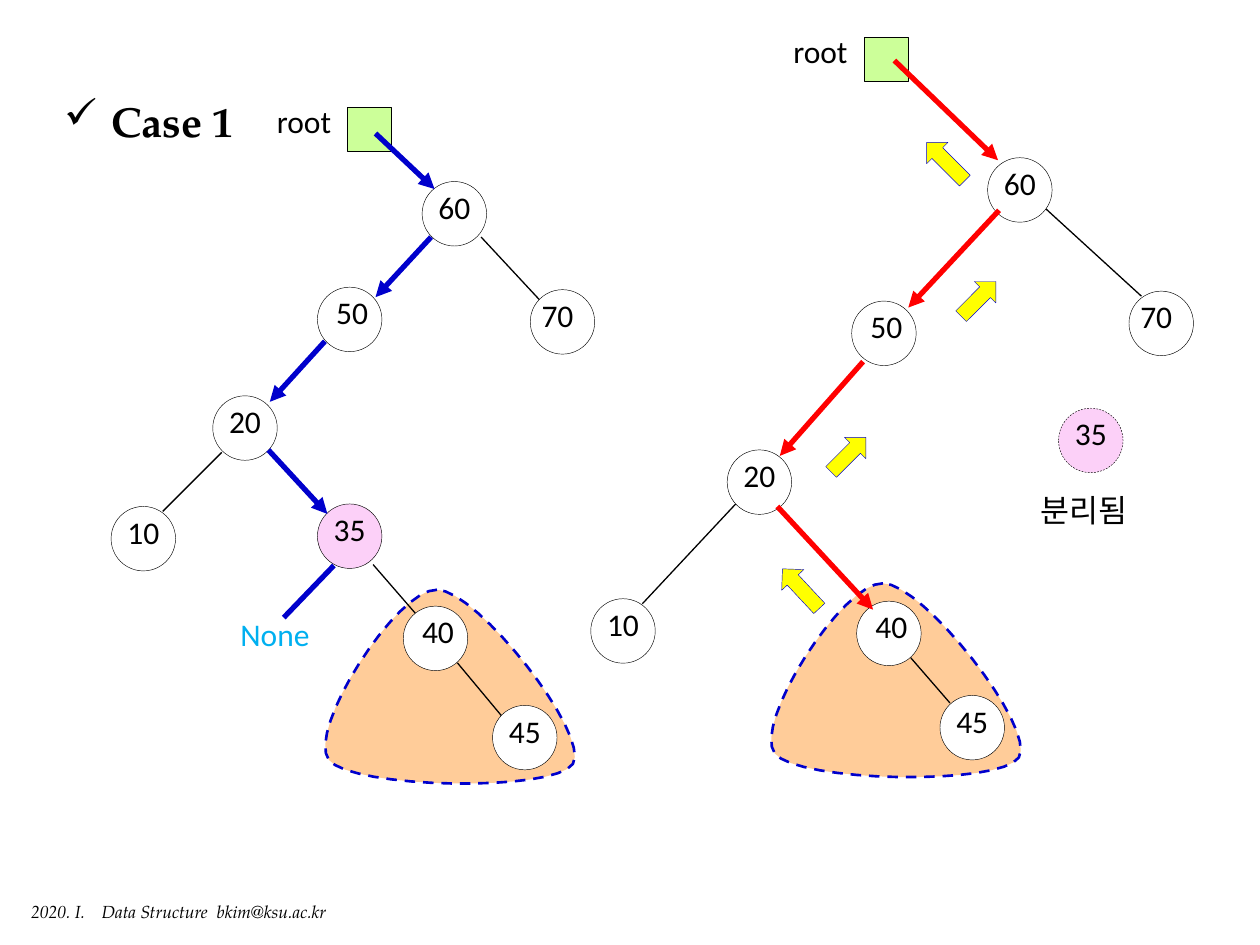
from lxml import etree
from pptx import Presentation
from pptx import util as u
from pptx.dml.color import RGBColor
from pptx.enum import dml, shapes, text
from pptx.oxml import ns

COLORS = {"black": "000000", "white": "FFFFFF", "blue": "0000CC", "red": "FF0000",
          "pink": "FCD0F8", "green": "CCFF99", "orange": "FFCC99",
          "yellow": "FFFF00", "cyan": "00B0F0"}
SANS, SERIF = "Calibri", "TeX Gyre Pagella"
NODE, ROOT, LABEL_WIDTH, LABEL_HEIGHT = 1.3, 0.89, 1.5, 1.02
LABEL_SHIFT = {"40": 0.05, "50": 0.05, "70": -0.1}
SUBTREE_START = (2.26, 0)
SUBTREE_CURVES = [
    ((1.45, -0.03), (-0.38, 2.84), (0.08, 3.43)),
    ((0.53, 4.01), (4.62, 4.09), (5, 3.51)),
    ((5.36, 2.92), (3.07, 0), (2.26, 0)),
]


def color(name):
    return RGBColor.from_string(COLORS[name])


def add_child(parent, tag, **attributes):
    return etree.SubElement(parent, ns.qn(tag), attributes)


def write_run(paragraph, content, size=18, font=SANS, fill="black", bold=False, italic=False):
    run = paragraph.add_run()
    run.text = content
    run.font.size = u.Pt(size)
    run.font.name = font
    run.font.bold = bold
    run.font.italic = italic
    run.font.color.rgb = color(fill)


def add_label(slide, content, left, top, width, height=LABEL_HEIGHT,
              align=text.PP_ALIGN.CENTER, wrap=True, tabs=(), **font):
    shape = slide.shapes.add_textbox(u.Cm(left), u.Cm(top), u.Cm(width), u.Cm(height))
    shape.text_frame.word_wrap = wrap
    paragraph = shape.text_frame.paragraphs[0]
    paragraph.alignment = align
    if tabs:
        tab_list = add_child(paragraph._p.get_or_add_pPr(), "a:tabLst")
        for position in tabs:
            add_child(tab_list, "a:tab", pos=str(u.Cm(position)), algn="l")
    write_run(paragraph, content, **font)


def style_shape(shape, fill, line="black", weight=0.25, dashed=False):
    shape.shadow.inherit = False
    shape.fill.solid()
    shape.fill.fore_color.rgb = color(fill)
    shape.line.color.rgb = color(line)
    shape.line.width = u.Pt(weight)
    if dashed:
        shape.line.dash_style = dml.MSO_LINE.DASH


def add_preset(slide, kind, left, top, width, height, rotation=0, **style):
    shape = slide.shapes.add_shape(kind, u.Cm(left), u.Cm(top), u.Cm(width), u.Cm(height))
    shape.rotation = rotation
    style_shape(shape, **style)


def add_line(slide, box, start, end, line="black", weight=0.75, arrow=False):
    left, top = box
    connector = slide.shapes.add_connector(
        shapes.MSO_CONNECTOR.STRAIGHT, u.Cm(left + start[0]), u.Cm(top + start[1]),
        u.Cm(left + end[0]), u.Cm(top + end[1]))
    connector.line.color.rgb = color(line)
    connector.line.width = u.Pt(weight)
    if arrow:
        add_child(connector.line._get_or_add_ln(), "a:tailEnd", type="triangle")
    add_child(connector._element.spPr, "a:effectLst")


def add_node(slide, box, value, position, fill="white", dashed=False):
    left, top = box[0] + position[0], box[1] + position[1]
    add_preset(slide, shapes.MSO_SHAPE.OVAL, left, top, NODE, NODE, fill=fill, dashed=dashed)
    label_left = left + (NODE - LABEL_WIDTH) / 2 + LABEL_SHIFT.get(value, 0)
    add_label(slide, value, label_left, top, LABEL_WIDTH)


def add_subtree(slide, left, top, steps=16):
    points, start = [], SUBTREE_START
    for first, second, end in SUBTREE_CURVES:
        for step in range(1, steps + 1):
            t = step / steps
            weights = (1 - t) ** 3, 3 * t * (1 - t) ** 2, 3 * t ** 2 * (1 - t), t ** 3
            corners = start, first, second, end
            points.append(tuple(
                u.Cm(offset + sum(w * corner[axis] for w, corner in zip(weights, corners)))
                for axis, offset in enumerate((left, top))))
        start = end
    builder = slide.shapes.build_freeform(*points[-1])
    builder.add_line_segments(points[:-1], close=True)
    style_shape(builder.convert_to_shape(), "orange", "blue", 1.5, dashed=True)


def draw_tree(slide, box, root, subtree, nodes, edges, steps, accent):
    left, top = box
    add_subtree(slide, left + subtree[0], top + subtree[1])
    for start, end in edges:
        add_line(slide, box, start, end)
    for value, position in nodes.items():
        add_node(slide, box, value, position, fill="pink" if value == "35" else "white")
    root_left, root_top = left + root[0], top + root[1]
    add_label(slide, "root", root_left - 1.88, root_top - 0.23, 2)
    add_preset(slide, shapes.MSO_SHAPE.RECTANGLE, root_left, root_top, ROOT, ROOT,
               fill="green", weight=0.5)
    for start, end in steps:
        add_line(slide, box, start, end, accent, 3, arrow=True)


def draw_search(slide, box):
    draw_tree(
        slide, box, root=(5.01, 0.16), subtree=(4.55, 9.89), accent="blue",
        nodes={"60": (6.51, 1.66), "50": (4.4, 3.79), "70": (8.69, 3.84),
               "20": (2.29, 5.98), "10": (0.24, 8.21), "35": (4.4, 8.16),
               "40": (6.13, 10.22), "45": (7.93, 12.22)},
        edges=[((7.7, 2.78), (8.9, 4.07)), ((2.47, 7.12), (1.28, 8.31)),
               ((6.38, 10.37), (5.52, 9.38)), ((7.22, 11.36), (8.11, 12.43))],
        steps=[((5.57, 0.69), (6.76, 1.81)), ((6.69, 2.78), (5.57, 3.99)),
               ((4.55, 4.88), (3.44, 6.1)), ((3.41, 7.07), (4.6, 8.36))])
    add_line(slide, box, (4.73, 9.4), (3.72, 10.45), "blue", 3)
    add_label(slide, "None", box[0] + 2.39, box[1] + 10.27, 2.31, fill="cyan")


def draw_removal(slide, box):
    left, top = box
    draw_tree(
        slide, box, root=(5.92, 0.26), subtree=(4.04, 11.26), accent="red",
        nodes={"60": (8.41, 2.68), "50": (5.67, 5.57), "70": (11.26, 5.37),
               "20": (3.16, 8.57), "10": (0.41, 11.57),
               "40": (5.77, 11.62), "45": (7.45, 13.52)},
        edges=[((9.56, 3.69), (11.51, 5.47)), ((3.33, 9.66), (1.45, 11.67)),
               ((6.86, 12.76), (7.65, 13.67))],
        steps=[((6.53, 0.72), (8.62, 2.73)), ((8.64, 3.74), (6.81, 5.7)),
               ((5.9, 6.79), (4.22, 8.69)), ((4.17, 9.71), (6.1, 11.79))])
    for x, y, width, rotation in [(5.11, 8.36, 0.99, 315), (7.73, 5.22, 0.99, 315),
                                  (7.02, 2.45, 1.09, 225), (4.1, 11.06, 1.09, 227)]:
        add_preset(slide, shapes.MSO_SHAPE.RIGHT_ARROW, left + x, top + y, width, 0.61,
                   rotation, fill="yellow", line="blue")
    add_node(slide, box, "35", (9.84, 7.73), fill="pink", dashed=True)
    add_label(slide, "분리됨", left + 8.52, top + 9.28, 3.68)


def draw_title(slide, left, top, width, height):
    title = slide.shapes.title
    title.left, title.top = u.Cm(left), u.Cm(top)
    title.width, title.height = u.Cm(width), u.Cm(height)
    frame = title.text_frame
    frame.word_wrap = False
    frame.auto_size = text.MSO_AUTO_SIZE.NONE
    frame.vertical_anchor = text.MSO_ANCHOR.TOP
    paragraph = frame.paragraphs[0]
    paragraph.alignment = text.PP_ALIGN.LEFT
    properties = paragraph._p.get_or_add_pPr()
    indent = u.Cm(0.95)
    properties.set("marL", str(indent))
    properties.set("indent", str(-indent))
    add_child(properties, "a:buChar", char="✓")
    write_run(paragraph, "Case 1", size=24, font=SERIF, bold=True)


def main():
    presentation = Presentation()
    presentation.slide_width, presentation.slide_height = u.Cm(25.4), u.Cm(19.05)
    slide = presentation.slides.add_slide(presentation.slide_layouts[5])
    add_label(slide, "2020. I.\tData Structure\tbkim@ksu.ac.kr", 0.38, 18.03, 6.55, 0.69,
              align=text.PP_ALIGN.LEFT, wrap=False, tabs=(1.42, 3.74),
              size=10, font=SERIF, italic=True)
    draw_search(slide, (2, 2))
    draw_removal(slide, (11.5, 0.5))
    draw_title(slide, 1.04, 1.8, 3.96, 1.27)
    presentation.save("out.pptx")


if __name__ == "__main__":
    main()
